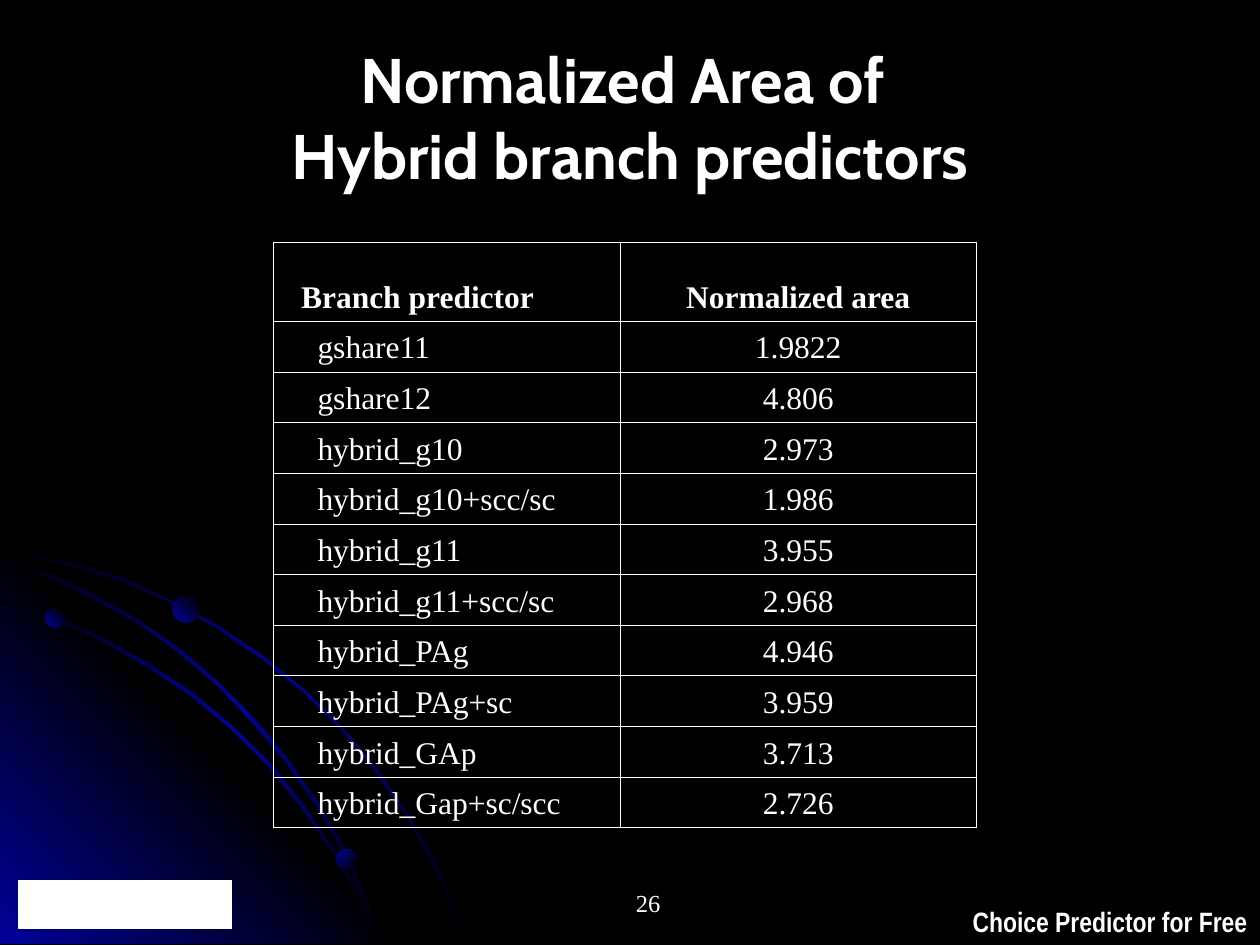
import pptx
import pptx.dml.color
import pptx.enum.shapes
import pptx.enum.text
import pptx.oxml
import pptx.oxml.ns
import pptx.util
from lxml import etree

EMU_PER_PX = 9144
BLACK = pptx.dml.color.RGBColor(0x00, 0x00, 0x00)
WHITE = pptx.dml.color.RGBColor(0xFF, 0xFF, 0xFF)
BLUE = pptx.dml.color.RGBColor(0x01, 0x01, 0x99)
SERIF = "Times New Roman"
ALIGN = pptx.enum.text.PP_ALIGN
ANCHOR = pptx.enum.text.MSO_ANCHOR
SHAPE = pptx.enum.shapes.MSO_SHAPE

OUTER_ARC = [
    (57, 20), (28, 14), (0, 8), (0, 11), (28, 16), (56, 22), (97, 34), (135, 51),
    (173, 72), (208, 96), (241, 122), (271, 152), (298, 185), (323, 222),
    (337, 246), (350, 271), (360, 296), (370, 322), (372, 322), (362, 296),
    (352, 271), (339, 246), (325, 221), (300, 184), (272, 151), (242, 121),
    (209, 94), (174, 70), (136, 50), (98, 32),
]
CORNER = [(322, 322), (0, 322), (0, 0)]
INNER_ARC = [
    (285, 287), (294, 305), (301, 322), (303, 322), (296, 303), (286, 285),
    (266, 249), (242, 213), (215, 179), (184, 149), (152, 122), (117, 99),
    (79, 78), (41, 61), (0, 48), (0, 50), (39, 63), (77, 80), (115, 101),
    (150, 124), (183, 151), (213, 181), (240, 215), (265, 250),
]
MIDDLE_ARC = [
    (0, 15), (0, 17), (36, 30), (74, 48), (109, 67), (142, 91), (173, 117),
    (202, 148), (227, 178), (252, 214), (267, 240), (280, 267), (292, 295),
    (301, 322), (303, 322), (294, 293), (282, 266), (269, 238), (254, 212),
    (229, 176), (204, 146), (175, 116), (144, 89), (111, 66), (76, 46), (39, 28),
]
SWEEPS = [
    (OUTER_ARC, (BLACK, BLUE, BLACK), 225),
    (CORNER, (BLUE, BLACK, BLUE), 135),
    (INNER_ARC, (BLACK, BLUE, BLACK), 225),
    (MIDDLE_ARC, (BLACK, BLUE, BLACK), 225),
]
DOTS = [(36, 56, 15, 135), (267, 247, 16, 225), (137, 46, 21, 135)]

HEADER = ("Branch predictor", "Normalized area")
AREAS = [
    ("gshare11", "1.9822"),
    ("gshare12", "4.806"),
    ("hybrid_g10", "2.973"),
    ("hybrid_g10+scc/sc", "1.986"),
    ("hybrid_g11", "3.955"),
    ("hybrid_g11+scc/sc", "2.968"),
    ("hybrid_PAg", "4.946"),
    ("hybrid_PAg+sc", "3.959"),
    ("hybrid_GAp", "3.713"),
    ("hybrid_Gap+sc/scc", "2.726"),
]


def px(length):
    return pptx.util.Emu(round(length * EMU_PER_PX))


def style_paragraph(para, size, face, bold=False, align=ALIGN.LEFT):
    para.alignment = align
    para.font.size = pptx.util.Pt(size)
    para.font.name = face
    para.font.bold = bold
    para.font.color.rgb = WHITE


def add_text(page, box, text, size, face, bold=False, align=ALIGN.LEFT,
             anchor=ANCHOR.TOP, wrap=True):
    frame = page.shapes.add_textbox(*map(px, box)).text_frame
    frame.word_wrap = wrap
    frame.vertical_anchor = anchor
    frame.text = text
    style_paragraph(frame.paragraphs[0], size, face, bold, align)


def paint_gradient(shape, colours, angle):
    shape.shadow.inherit = False
    shape.line.fill.background()
    shape.fill.background()
    last = len(colours) - 1
    stops = "".join(
        f'<a:gs pos="{100000 * index // last}"><a:srgbClr val="{colour}"/></a:gs>'
        for index, colour in enumerate(colours)
    )
    gradient = pptx.oxml.parse_xml(
        f'<a:gradFill {pptx.oxml.ns.nsdecls("a")} rotWithShape="1">'
        f'<a:gsLst>{stops}</a:gsLst><a:lin ang="{angle * 60000}" scaled="0"/></a:gradFill>'
    )
    properties = shape._element.spPr
    properties.replace(properties.find(pptx.oxml.ns.qn("a:noFill")), gradient)


def add_orbits(page, left, top):
    for points, colours, angle in SWEEPS:
        outline = [(left + x, top + y) for x, y in points]
        builder = page.shapes.build_freeform(*outline[0], scale=EMU_PER_PX)
        builder.add_line_segments(outline[1:], close=True)
        paint_gradient(builder.convert_to_shape(), colours, angle)
    for x, y, size, angle in DOTS:
        dot = page.shapes.add_shape(
            SHAPE.OVAL, px(left + x), px(top + y), px(size), px(size))
        paint_gradient(dot, (BLACK, BLUE), angle)


def add_footer(page, left, top):
    add_text(page, (left + 762, top + 14, 238, 37), "Choice Predictor for Free",
             16, "Arial Narrow", bold=True, wrap=False)
    plate = page.shapes.add_shape(
        SHAPE.RECTANGLE, px(left + 15), px(top), px(169), px(38))
    plate.shadow.inherit = False
    plate.fill.solid()
    plate.fill.fore_color.rgb = WHITE
    plate.line.color.rgb = WHITE
    plate.line.width = pptx.util.Pt(0.75)
    add_text(page, (left + 417, top + 1, 117, 42), "26", 14, SERIF, align=ALIGN.RIGHT)


def add_borders(cell):
    properties = cell._tc.get_or_add_tcPr()
    for index, side in enumerate(("lnL", "lnR", "lnT", "lnB")):
        line = pptx.oxml.parse_xml(
            f'<a:{side} {pptx.oxml.ns.nsdecls("a")} w="{pptx.util.Pt(0.45)}">'
            f'<a:solidFill><a:srgbClr val="{WHITE}"/></a:solidFill></a:{side}>'
        )
        properties.insert(index, line)


def add_area_table(page, left, top, width, height):
    header_height, first_width = 63, 275
    rows = [HEADER] + AREAS
    table = page.shapes.add_table(
        len(rows), 2, px(left), px(top), px(width), px(height)).table
    table.first_row = False
    table.horz_banding = False
    table.columns[0].width = px(first_width)
    table.columns[1].width = px(width - first_width)
    for row_index, texts in enumerate(rows):
        is_header = row_index == 0
        table.rows[row_index].height = px(
            header_height if is_header else (height - header_height) / len(AREAS))
        for column_index, text in enumerate(texts):
            cell = table.cell(row_index, column_index)
            cell.text = text
            cell.vertical_anchor = ANCHOR.BOTTOM
            cell.fill.background()
            if column_index == 0:
                cell.margin_left = px(22 if is_header else 35)
            style_paragraph(cell.text_frame.paragraphs[0], 18, SERIF, is_header,
                            ALIGN.CENTER if column_index else ALIGN.LEFT)
            add_borders(cell)


def main():
    deck = pptx.Presentation()
    deck.slide_width, deck.slide_height = px(1000), px(750)
    page = deck.slides.add_slide(deck.slide_layouts[6])
    page.background.fill.solid()
    page.background.fill.fore_color.rgb = BLACK
    add_orbits(page, 0, 427)
    add_footer(page, 0, 699)
    add_text(page, (50, 30, 900, 125), "Normalized Area of \vHybrid branch predictors",
             36, "Cabin", bold=True, align=ALIGN.CENTER, anchor=ANCHOR.MIDDLE)
    add_area_table(page, 217, 192, 558, 465)
    deck.save("out.pptx")


if __name__ == "__main__":
    main()
